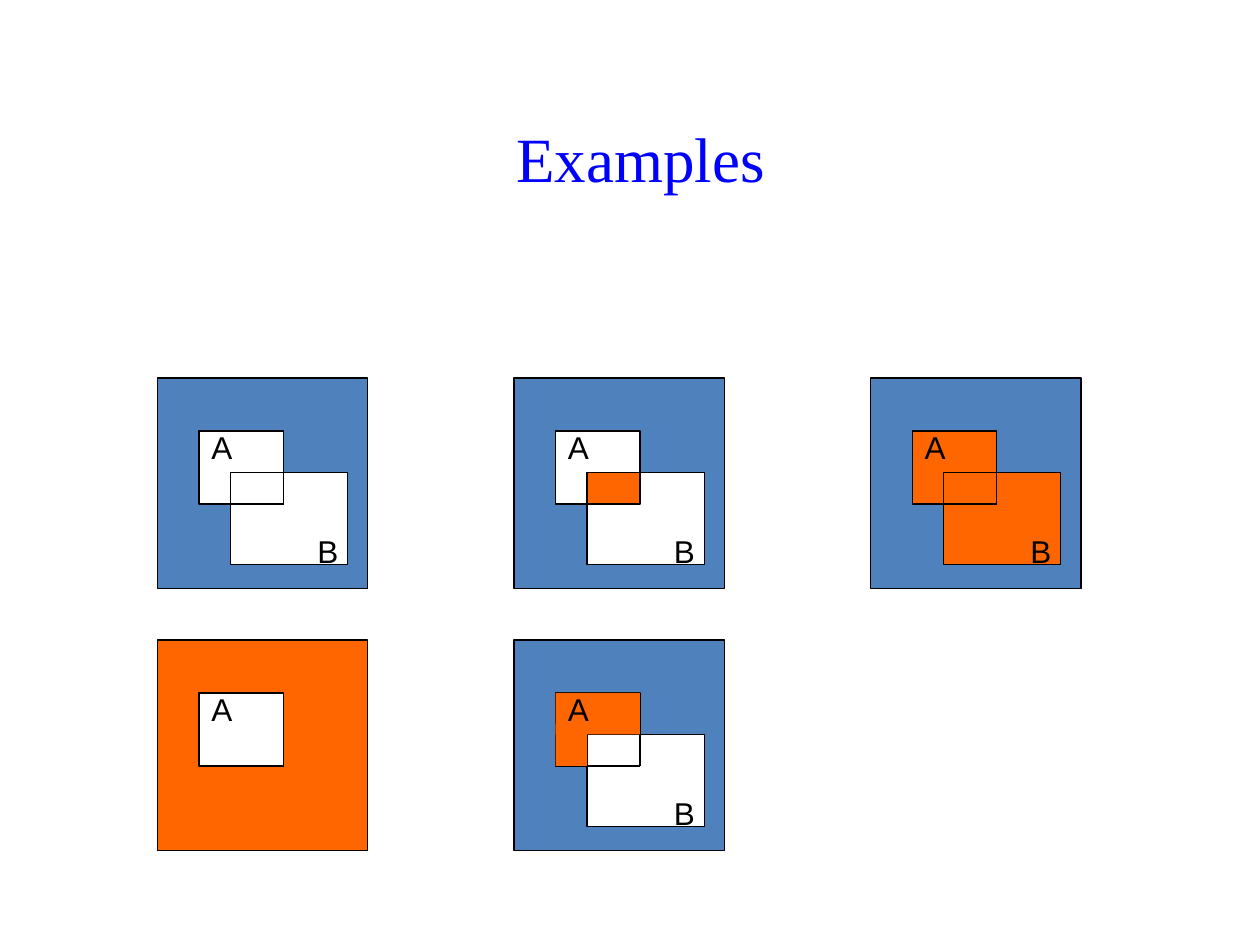
from lxml import etree
from pptx import Presentation
from pptx.dml.color import RGBColor
from pptx.enum import shapes, text
from pptx.oxml.ns import qn
from pptx.util import Inches, Pt

BLACK = RGBColor(0x00, 0x00, 0x00)
WHITE = RGBColor(0xFF, 0xFF, 0xFF)
BLUE = RGBColor(0x4F, 0x81, 0xBD)
ORANGE = RGBColor(0xFF, 0x66, 0x00)
TITLE_BLUE = RGBColor(0x00, 0x00, 0xFF)

# Left, top, width, height inside a panel
UNIVERSE = (0, 0, 1.67, 1.67)
SET_A = (0.33, 0.42, 0.67, 0.58)
SET_B = (0.58, 0.75, 0.93, 0.73)
OVERLAP = (0.58, 0.75, 0.42, 0.25)
A_ABOVE_B = (0.33, 0.42, 0.67, 0.33)
A_BESIDE_B = (0.33, 0.67, 0.25, 0.33)
LABELS = {"A": (0.33, 0.35, 0.27, 0.4), "B": (1.17, 1.17, 0.33, 0.4)}

LEFT, TOP = 1.25, 3
COLUMN_STEP, ROW_STEP = 2.83, 2.08

# Column, row, labels, rectangles as (area, fill, outlined)
PANELS = [
    (0, 0, "AB", [(UNIVERSE, BLUE, True), (SET_A, WHITE, True), (SET_B, WHITE, True)]),
    (1, 0, "AB", [(UNIVERSE, BLUE, True), (SET_A, WHITE, True), (SET_B, WHITE, True),
                  (OVERLAP, ORANGE, True)]),
    (2, 0, "AB", [(UNIVERSE, BLUE, True), (SET_A, ORANGE, True), (SET_B, ORANGE, True)]),
    (0, 1, "A", [(UNIVERSE, ORANGE, True), (SET_A, WHITE, True)]),
    (1, 1, "AB", [(UNIVERSE, BLUE, True), (SET_A, WHITE, True), (SET_B, WHITE, True),
                  (A_ABOVE_B, ORANGE, False), (A_BESIDE_B, ORANGE, False)]),
]

deck = Presentation()
deck.slide_width, deck.slide_height = Inches(10), Inches(7.5)
page = deck.slides.add_slide(deck.slide_layouts[5])

# Title
title = page.shapes.title
title.left, title.top = Inches(0.75), Inches(0.42)
title.width, title.height = Inches(8.67), Inches(1.25)
frame = title.text_frame
frame.text = "Examples"
frame.vertical_anchor = text.MSO_ANCHOR.BOTTOM
frame.margin_bottom = Inches(0.12)
frame.paragraphs[0].alignment = text.PP_ALIGN.CENTER
font = frame.paragraphs[0].runs[0].font
font.name, font.size, font.color.rgb = "Times New Roman", Pt(36), TITLE_BLUE

for column, row, labels, rectangles in PANELS:
    panel_x = LEFT + column * COLUMN_STEP
    panel_y = TOP + row * ROW_STEP

    # Universe, sets and highlighted regions
    for (x, y, width, height), fill, outlined in rectangles:
        box = page.shapes.add_shape(
            shapes.MSO_SHAPE.RECTANGLE, Inches(panel_x + x), Inches(panel_y + y),
            Inches(width), Inches(height))
        box.shadow.inherit = False
        box.fill.solid()
        box.fill.fore_color.rgb = fill
        if outlined:
            box.line.color.rgb = BLACK
            box.line.width = Pt(0.75)
        else:
            box.line.fill.background()

    # Bottom and right edges of the overlap
    x, y, width, height = OVERLAP
    left, top = panel_x + x, panel_y + y
    right, bottom = left + width, top + height
    for start, end in [((left, bottom), (right, bottom)), ((right, bottom), (right, top))]:
        edge = page.shapes.add_connector(
            shapes.MSO_CONNECTOR.STRAIGHT, Inches(start[0]), Inches(start[1]),
            Inches(end[0]), Inches(end[1]))
        edge.line.color.rgb = BLACK
        edge.line.width = Pt(0.75)
        etree.SubElement(edge._element.spPr, qn("a:effectLst"))

    # Set names
    for name in labels:
        x, y, width, height = LABELS[name]
        label = page.shapes.add_textbox(
            Inches(panel_x + x), Inches(panel_y + y), Inches(width), Inches(height))
        label.text_frame.word_wrap = True
        label.text_frame.text = name
        font = label.text_frame.paragraphs[0].runs[0].font
        font.name, font.size, font.color.rgb = "Arial", Pt(18), BLACK

deck.save("out.pptx")
